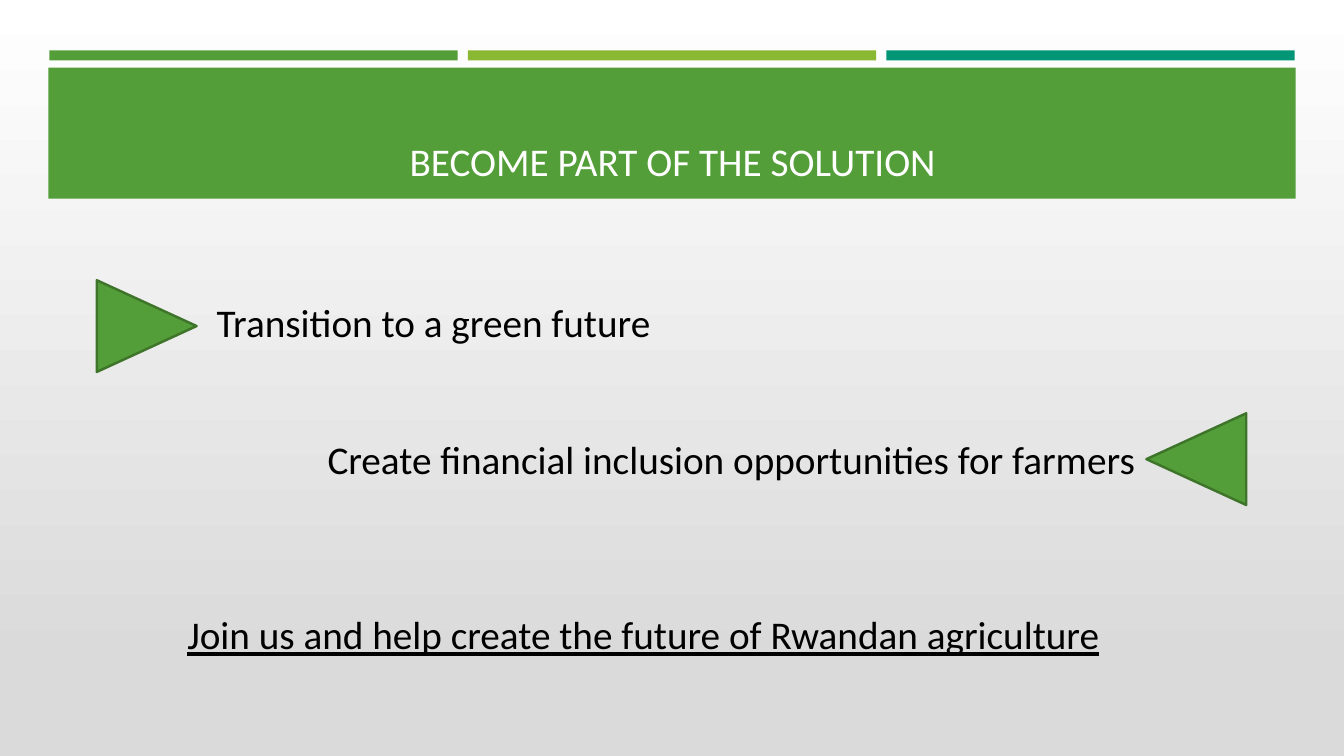
from pptx import Presentation
from pptx.dml.color import RGBColor
from pptx.enum.shapes import MSO_SHAPE as Shape
from pptx.enum.text import MSO_ANCHOR as Anchor, MSO_AUTO_SIZE as AutoSize, PP_ALIGN as Align
from pptx.util import Inches, Pt

GREEN = RGBColor(0x54, 0x9E, 0x39)
LIME = RGBColor(0x8A, 0xB8, 0x33)
TEAL = RGBColor(0x02, 0x96, 0x76)
DARK_GREEN = RGBColor(0x3E, 0x75, 0x2A)
WHITE = RGBColor(0xFF, 0xFF, 0xFF)
GREY = RGBColor(0xDA, 0xDA, 0xDA)
BLACK = RGBColor(0, 0, 0)


def add_shape(kind, left, top, width, height, fill, line=None):
    shape = slide.shapes.add_shape(
        kind, Inches(left), Inches(top), Inches(width), Inches(height))
    shape.shadow.inherit = False
    shape.fill.solid()
    shape.fill.fore_color.rgb = fill
    if line is None:
        shape.line.fill.background()
    else:
        shape.line.color.rgb = line
        shape.line.width = Pt(1.75)
    return shape


def write(frame, text, color=BLACK, align=Align.LEFT, underline=False,
          anchor=Anchor.TOP, auto_size=AutoSize.SHAPE_TO_FIT_TEXT):
    frame.word_wrap = True
    frame.auto_size = auto_size
    frame.vertical_anchor = anchor
    paragraph = frame.paragraphs[0]
    paragraph.alignment = align
    run = paragraph.add_run()
    run.text = text
    run.font.name = "Calibri"
    run.font.size = Pt(28)
    run.font.color.rgb = color
    run.font.underline = underline


prs = Presentation()
prs.slide_width, prs.slide_height = Inches(13.33), Inches(7.5)
slide = prs.slides.add_slide(prs.slide_layouts[5])

backdrop = slide.background.fill
backdrop.gradient()
backdrop.gradient_angle = 270
for stop, color, position in zip(backdrop.gradient_stops, (WHITE, GREY), (0, 0.88)):
    stop.color.rgb = color
    stop.position = position

# Header: three bars above the title band
for column, color in enumerate((GREEN, LIME, TEAL)):
    add_shape(Shape.RECTANGLE, 0.49 + 4.15 * column, 0.5, 4.05, 0.1, color)
band = add_shape(Shape.RECTANGLE, 0.48, 0.67, 12.37, 1.3, GREEN)

title = slide.shapes.title
title.left, title.top = Inches(0.64), Inches(0.77)
title.width, title.height = Inches(12.06), Inches(1.11)
write(title.text_frame, "BECOME PART OF THE SOLUTION", color=WHITE,
      align=Align.CENTER, anchor=Anchor.BOTTOM, auto_size=AutoSize.NONE)
band.element.addnext(title.element)

# Pointers towards the two goals
for left, top, rotation in ((1, 2.74, 90), (11.41, 4.06, 270)):
    pointer = add_shape(Shape.ISOSCELES_TRIANGLE, left, top, 0.91, 0.99, GREEN, DARK_GREEN)
    pointer.rotation = rotation

for text, left, top, width, underline in (
    ("Transition to a green future", 2.05, 2.91, 8.99, False),
    ("Create financial inclusion opportunities for farmers", 3.15, 4.27, 8.99, False),
    ("Join us and help create the future of Rwandan agriculture", 1.76, 6.01, 9.56, True),
):
    message = slide.shapes.add_textbox(
        Inches(left), Inches(top), Inches(width), Inches(0.57))
    write(message.text_frame, text, underline=underline)

prs.save("out.pptx")
